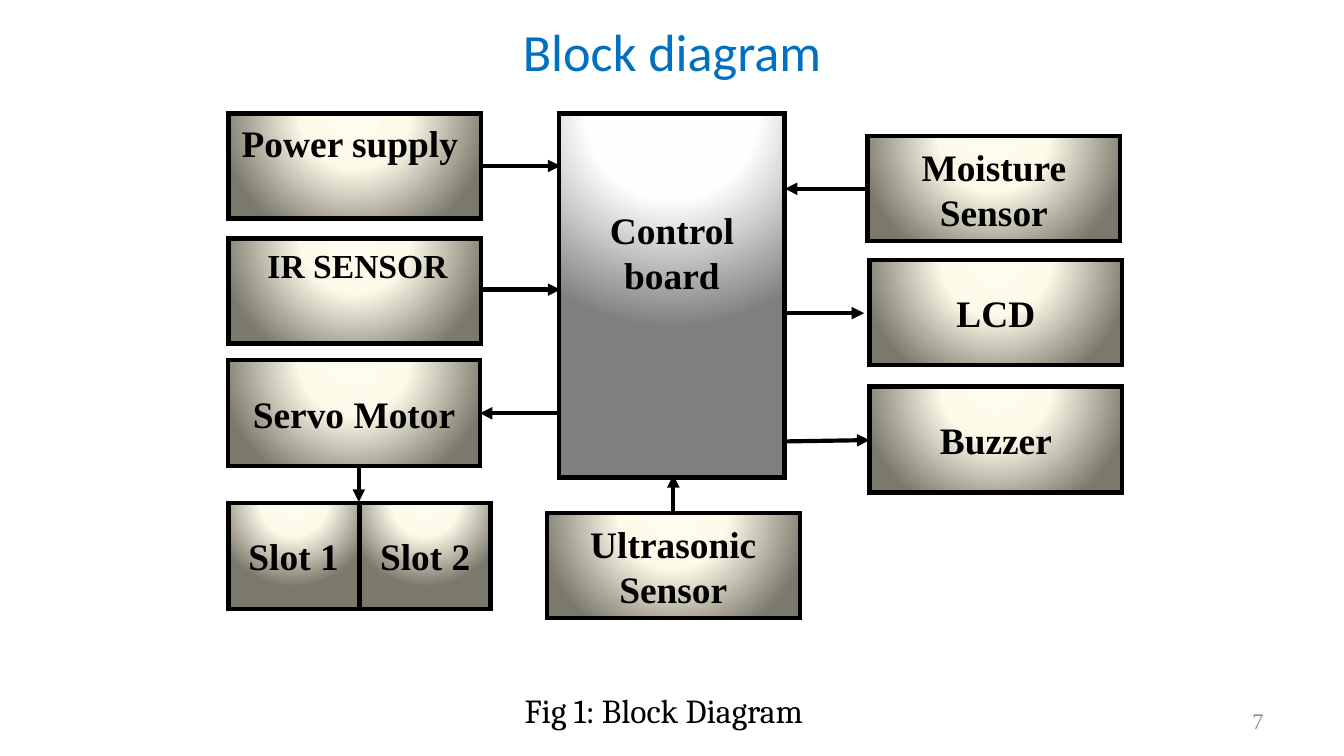
from dataclasses import dataclass

from lxml import etree
from pptx import Presentation
from pptx.dml.color import RGBColor
from pptx.enum.shapes import MSO_CONNECTOR, MSO_SHAPE
from pptx.enum.text import MSO_ANCHOR, MSO_AUTO_SIZE, PP_ALIGN
from pptx.oxml import parse_xml
from pptx.oxml.ns import nsdecls, qn
from pptx.util import Pt

PX = 4572  # 200 px to the inch
RECTANGLE = MSO_SHAPE.RECTANGLE
STRAIGHT = MSO_CONNECTOR.STRAIGHT
TOP, MIDDLE = MSO_ANCHOR.TOP, MSO_ANCHOR.MIDDLE
LEFT, CENTER, RIGHT = PP_ALIGN.LEFT, PP_ALIGN.CENTER, PP_ALIGN.RIGHT


@dataclass(frozen=True)
class Theme:
    ink: str = "000000"
    title: str = "0070C0"
    number: str = "8C8C8C"
    cream: tuple = ("FEFCEE", "FDFAEA", "7B796B")
    silver: tuple = ("FFFFFF", "FEFEFE", "7F7F7F")
    block_font: str = "Times New Roman"
    title_size: int = 28
    block_size: int = 20
    small_block_size: int = 18
    caption_size: int = 18
    number_size: int = 12
    thick: float = 2.5
    thin: float = 2.25


theme = Theme()


def write(box, text, font, size, color, align, anchor, bold=False):
    frame = box.text_frame
    frame.auto_size = MSO_AUTO_SIZE.NONE
    frame.word_wrap = True
    frame.vertical_anchor = anchor
    para = frame.paragraphs[0]
    para.text = text
    para.alignment = align
    para.font.name = font
    para.font.size = Pt(size)
    para.font.bold = bold
    para.font.color.rgb = RGBColor.from_string(color)
    return frame


def add_block(text, left, top, width, height, line=theme.thin, colors=theme.cream,
              size=theme.block_size, align=CENTER, anchor=MIDDLE):
    box = page.shapes.add_shape(RECTANGLE, left * PX, top * PX, width * PX, height * PX)
    box.shadow.inherit = False
    stops = "".join(
        f'<a:gs pos="{position}000"><a:srgbClr val="{color}"/></a:gs>'
        for position, color in zip((0, 40, 100), colors))
    # The glow is centred above the block
    gradient = parse_xml(
        f'<a:gradFill {nsdecls("a")} rotWithShape="1"><a:gsLst>{stops}</a:gsLst>'
        '<a:path path="circle"><a:fillToRect l="50000" t="-80000" r="50000" b="180000"/>'
        '</a:path></a:gradFill>')
    box._element.spPr.find(qn("a:prstGeom")).addnext(gradient)
    box.line.color.rgb = RGBColor.from_string(theme.ink)
    box.line.width = Pt(line)
    etree.SubElement(box.line._get_or_add_ln(), qn("a:miter"), lim="800000")
    frame = write(box, text, theme.block_font, size, theme.ink, align, anchor, bold=True)
    frame.paragraphs[0].space_after = Pt(10)
    return frame


deck = Presentation()
deck.slide_width, deck.slide_height = 2000 * PX, 1125 * PX
page = deck.slides.add_slide(deck.slide_layouts[5])

# Title
title = page.shapes.title
title.left, title.top, title.width, title.height = 100 * PX, 18 * PX, 1800 * PX, 188 * PX
write(title, "Block diagram", "Calibri", theme.title_size, theme.title, CENTER, TOP)

# Central controller, its label lowered from the top
frame = add_block("Control board", 832, 169, 336, 542, theme.thick, theme.silver, anchor=TOP)
frame.margin_top = 139 * PX

# Left column, top-aligned inputs
add_block("Power supply", 340, 169, 376, 156, theme.thick, align=LEFT, anchor=TOP)
frame = add_block("IR SENSOR", 340, 355, 376, 156, theme.thick,
                  size=theme.small_block_size, align=LEFT, anchor=TOP)
frame.margin_left = 58 * PX

# Centred blocks
for text, left, top, width, height in (
    ("Servo Motor", 339, 536, 376, 158),
    ("Slot 1", 340, 748, 194, 158),
    ("Slot 2", 536, 748, 194, 158),
    ("Moisture Sensor", 1291, 203, 376, 156),
    ("LCD", 1294, 387, 376, 156),
    ("Buzzer", 1294, 575, 376, 158),
    ("Ultrasonic Sensor", 814, 764, 376, 156),
):
    add_block(text, left, top, width, height)

# Arrows between blocks
for start_x, start_y, end_x, end_y in (
    (714, 247, 834, 247),    # power supply to controller
    (714, 431, 834, 431),    # IR sensor to controller
    (832, 615, 714, 615),    # controller to servo motor
    (534, 694, 534, 747),    # servo motor to slots
    (1292, 281, 1168, 281),  # moisture sensor to controller
    (1166, 466, 1286, 466),  # controller to LCD
    (1166, 657, 1294, 655),  # controller to buzzer
    (1002, 764, 1002, 707),  # ultrasonic sensor to controller
):
    arrow = page.shapes.add_connector(
        STRAIGHT, start_x * PX, start_y * PX, end_x * PX, end_y * PX)
    arrow.line.color.rgb = RGBColor.from_string(theme.ink)
    arrow.line.width = Pt(theme.thin)
    etree.SubElement(arrow.line._get_or_add_ln(), qn("a:tailEnd"), type="triangle")
    etree.SubElement(arrow._element.spPr, qn("a:effectLst"))

# Caption
caption = page.shapes.add_textbox(761 * PX, 1017 * PX, 482 * PX, 80 * PX)
frame = write(caption, "Fig 1: Block Diagram", "Cambria", theme.caption_size,
              theme.ink, LEFT, TOP)
frame.word_wrap = False

# Page number
number = page.shapes.add_textbox(1434 * PX, 1043 * PX, 466 * PX, 60 * PX)
write(number, "7", theme.block_font, theme.number_size, theme.number, RIGHT, MIDDLE)

deck.save("out.pptx")
